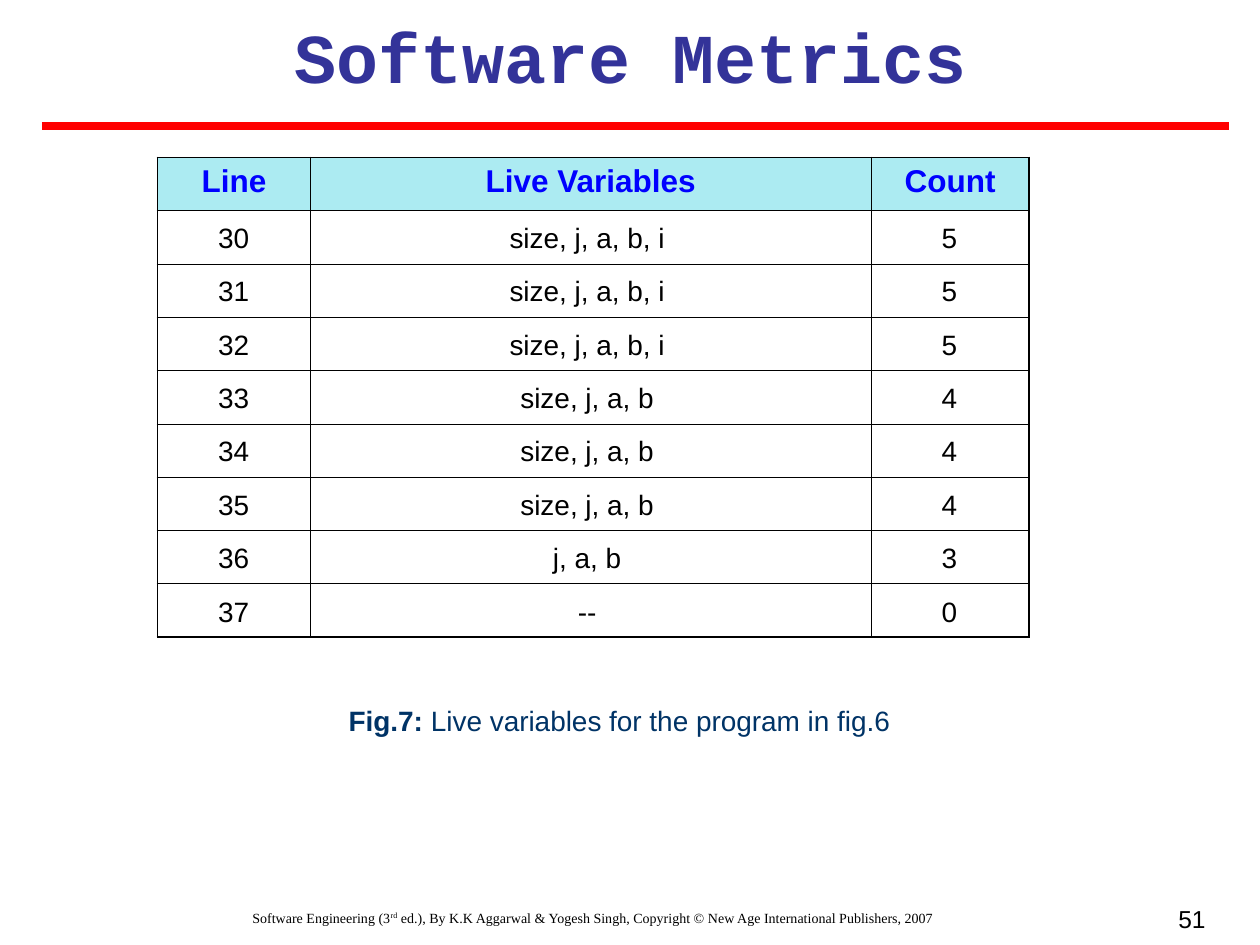
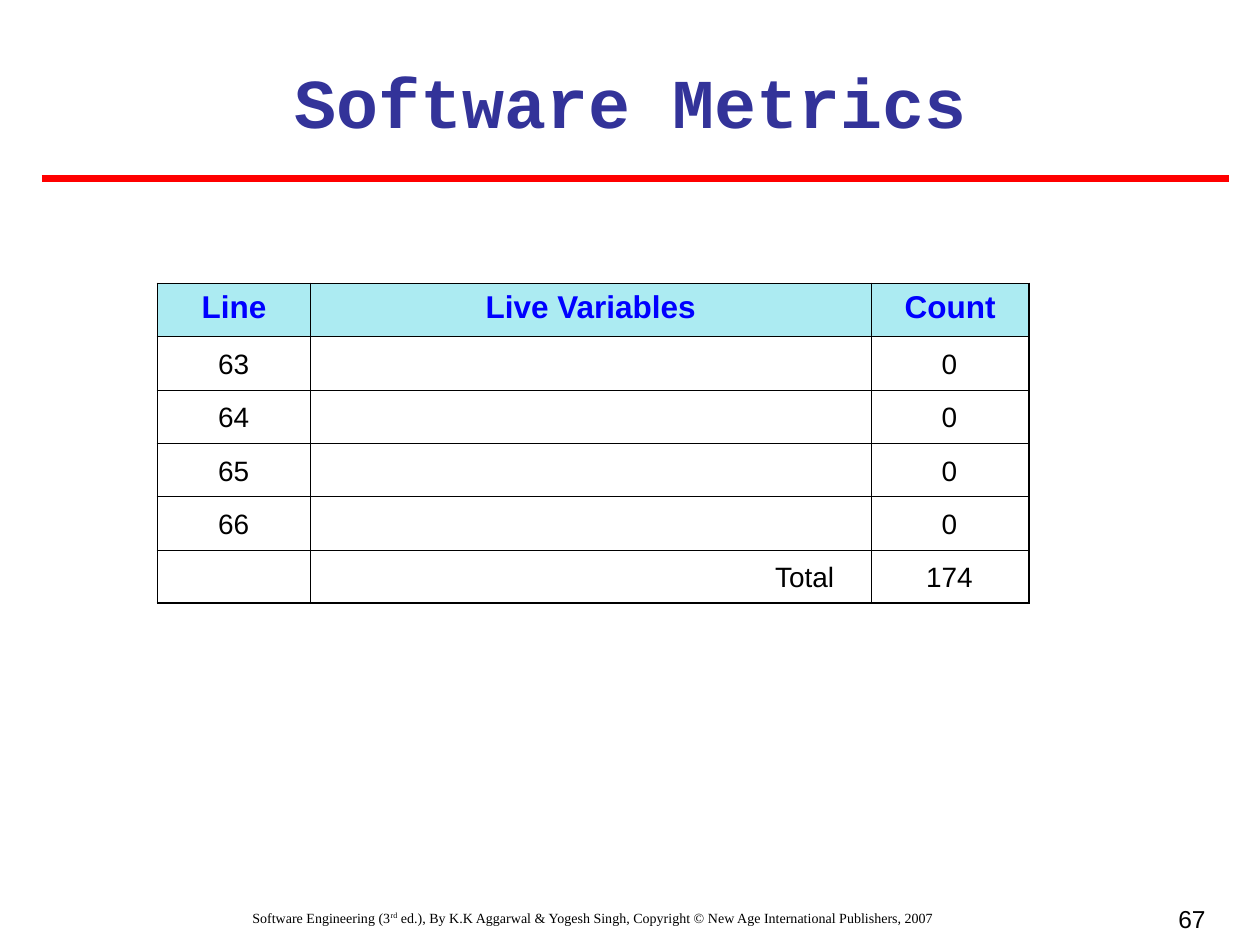
from lxml import etree
from pptx import Presentation
from pptx.dml.color import RGBColor
from pptx.enum.shapes import MSO_CONNECTOR
from pptx.enum.text import MSO_ANCHOR, MSO_AUTO_SIZE, PP_ALIGN
from pptx.oxml.ns import qn
from pptx.util import Pt

LINE = MSO_CONNECTOR.STRAIGHT
TOP = MSO_ANCHOR.TOP
FIXED = MSO_AUTO_SIZE.NONE
CENTER, RIGHT = PP_ALIGN.CENTER, PP_ALIGN.RIGHT

HUES = {
    "title": "333399", "rule": "FF0000", "head": "0000FF", "band": "ACEBF2",
    "text": "000000", "note": "003366", "grid": "000000",
}
FONTS = {
    "title": {"name": "Courier New", "size": Pt(40), "bold": True},
    "head": {"name": "Arial", "size": Pt(18), "bold": True},
    "text": {"name": "Arial", "size": Pt(16)},
    "note": {"name": "Arial", "size": Pt(16)},
    "foot": {"name": "Times New Roman", "size": Pt(8)},
    "page": {"name": "Arial", "size": Pt(14)},
}
FOOT = [
    ("Software Engineering (3", {}),
    ("rd", {"raised": True}),
    (" ed.), By K.K Aggarwal & Yogesh Singh, "
     "Copyright © New Age International Publishers, 2007", {}),
]
HEADS = ("Line", "Live Variables", "Count")
WIDTHS = (87.4, 320.4, 90.4)
SLOTS = ((19.4, 48.2), (104.4, 282.2), (428.4, 48.2))
PITCH = 30.45
THIN, THICK = 0.45, 1.08
INSETS = (7.2, 3.6, 7.2, 3.6)
FLUSH = (0, 0, 0, 0)
SIDES = ("margin_left", "margin_top", "margin_right", "margin_bottom")


def style(item, values):
    """Set each named attribute of an item."""
    for name, value in values.items():
        setattr(item, name, value)


def inset(item, sizes):
    """Set the four margins of a frame or cell."""
    style(item, dict(zip(SIDES, map(Pt, sizes))))


def write(frame, runs, kind, align=CENTER):
    """Fill the first paragraph with runs of one kind of text."""
    para = frame.paragraphs[0]
    style(para, {"alignment": align, "space_before": Pt(0)})
    for text, extra in runs:
        run = para.add_run()
        run.text = text
        style(run.font, FONTS[kind])
        run.font.color.rgb = RGBColor.from_string(HUES.get(kind, HUES["text"]))
        if extra.get("raised"):
            run._r.get_or_add_rPr().set("baseline", "30000")
        else:
            style(run.font, extra)


def label(slide, box, runs, kind, align=CENTER, pad=INSETS):
    """Add a wrapped text box."""
    frame = slide.shapes.add_textbox(*map(Pt, box)).text_frame
    frame.word_wrap = True
    inset(frame, pad)
    write(frame, runs, kind, align)


def header(slide, left, top, width, height, drop):
    """Place the title and the red rule a drop below its top."""
    title = slide.shapes.title
    style(title, {"left": Pt(left), "top": Pt(top),
                  "width": Pt(width), "height": Pt(height)})
    frame = title.text_frame
    style(frame, {"word_wrap": True, "auto_size": FIXED,
                  "vertical_anchor": TOP})
    inset(frame, INSETS)
    write(frame, [("Software Metrics", {})], "title")
    y = top + drop
    rule = slide.shapes.add_connector(
        LINE, Pt(left), Pt(y), Pt(left + width + 6), Pt(y))
    rule.line.color.rgb = RGBColor.from_string(HUES["rule"])
    rule.line.width = Pt(4.5)
    etree.SubElement(rule._element.spPr, qn("a:effectLst"))


def footer(slide, left, top, width, height, number):
    """Place the credit line and the page number."""
    label(slide, (left, top + 3, 642, height), FOOT, "foot")
    label(slide, (left + width - 168, top, 168, height),
          [(number, {})], "page", RIGHT)


def border(cell, side, width):
    """Draw one edge of a cell."""
    edge = etree.SubElement(cell._tc.get_or_add_tcPr(), qn("a:ln" + side),
                            w=str(Pt(width)))
    fill = etree.SubElement(edge, qn("a:solidFill"))
    etree.SubElement(fill, qn("a:srgbClr"), val=HUES["grid"])


def grid(slide, left, top, count):
    """Place the headed table with a heavy outer frame."""
    table = slide.shapes.add_table(
        count, len(HEADS), Pt(left), Pt(top),
        Pt(sum(WIDTHS)), Pt(PITCH * count)).table
    style(table, {"first_row": False, "horz_banding": False})
    for col, width in zip(table.columns, WIDTHS):
        col.width = Pt(width)
    for r, row in enumerate(table.rows):
        row.height = Pt(PITCH)
        for c, cell in enumerate(row.cells):
            outer = {"L": c == 0, "R": c == len(HEADS) - 1,
                     "T": r == 0, "B": r == count - 1}
            for side, edge in outer.items():
                border(cell, side, THICK if edge else THIN)
            inset(cell, INSETS)
            cell.vertical_anchor = TOP
            if r == 0:
                cell.fill.solid()
                cell.fill.fore_color.rgb = RGBColor.from_string(HUES["band"])
                write(cell.text_frame, [(HEADS[c], {})], "head")
            else:
                cell.fill.background()


def entries(slide, left, top, rows):
    """Set the values over the rows below the table head."""
    for r, row in enumerate(rows):
        for (shift, width), text in zip(SLOTS, row):
            if text:
                box = (left + shift, top + 36 + 30.5 * r, width, 19.4)
                label(slide, box, [(text, {})], "text",
                      RIGHT if text == "Total" else CENTER, FLUSH)


def page(deck, top, drop, start, rows, number):
    """Add one slide with its title, table and footer."""
    slide = deck.slides.add_slide(deck.slide_layouts[5])
    header(slide, 24, top, 672, 55.4, drop)
    grid(slide, 90, start, len(rows) + 1)
    entries(slide, 90, start, rows)
    footer(slide, 18, 513, 678, 24, number)
    return slide


def main():
    """Build and save the deck."""
    deck = Presentation()
    style(deck, {"slide_width": Pt(720), "slide_height": Pt(540)})
    names = ["size, j, a, b, i"] * 3 + ["size, j, a, b"] * 3 + ["j, a, b", "--"]
    counts = "55544430"
    rows = [(str(30 + i), *pair) for i, pair in enumerate(zip(names, counts))]
    first = page(deck, 4.3, 67.7, 90, rows, "51")
    label(first, (78, 402, 552, 19.4),
          [("Fig.7:", {"bold": True}),
           (" Live variables for the program in fig.6", {})],
          "note", pad=FLUSH)
    rows = [(str(line), "", "0") for line in range(63, 67)]
    page(deck, 30, 72, 162, rows + [("", "Total", "174")], "67")
    deck.save("out.pptx")


if __name__ == "__main__":
    main()
